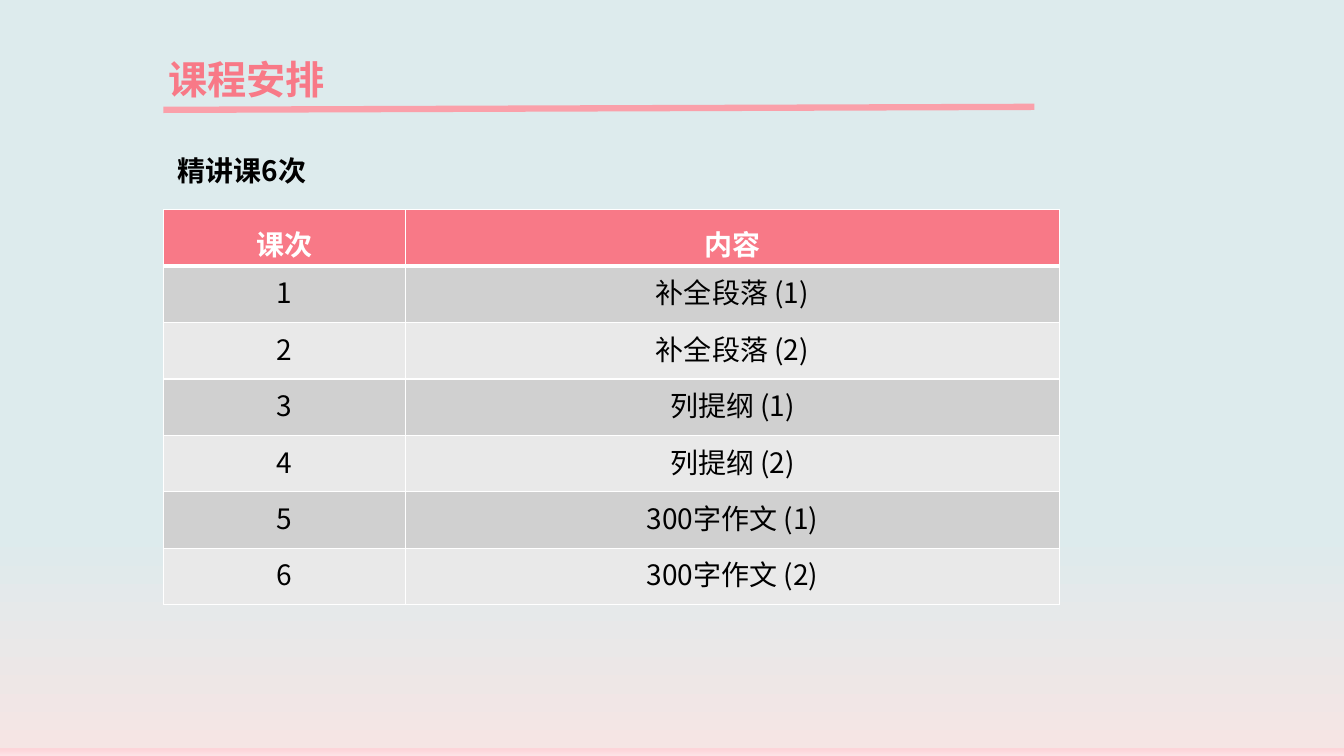
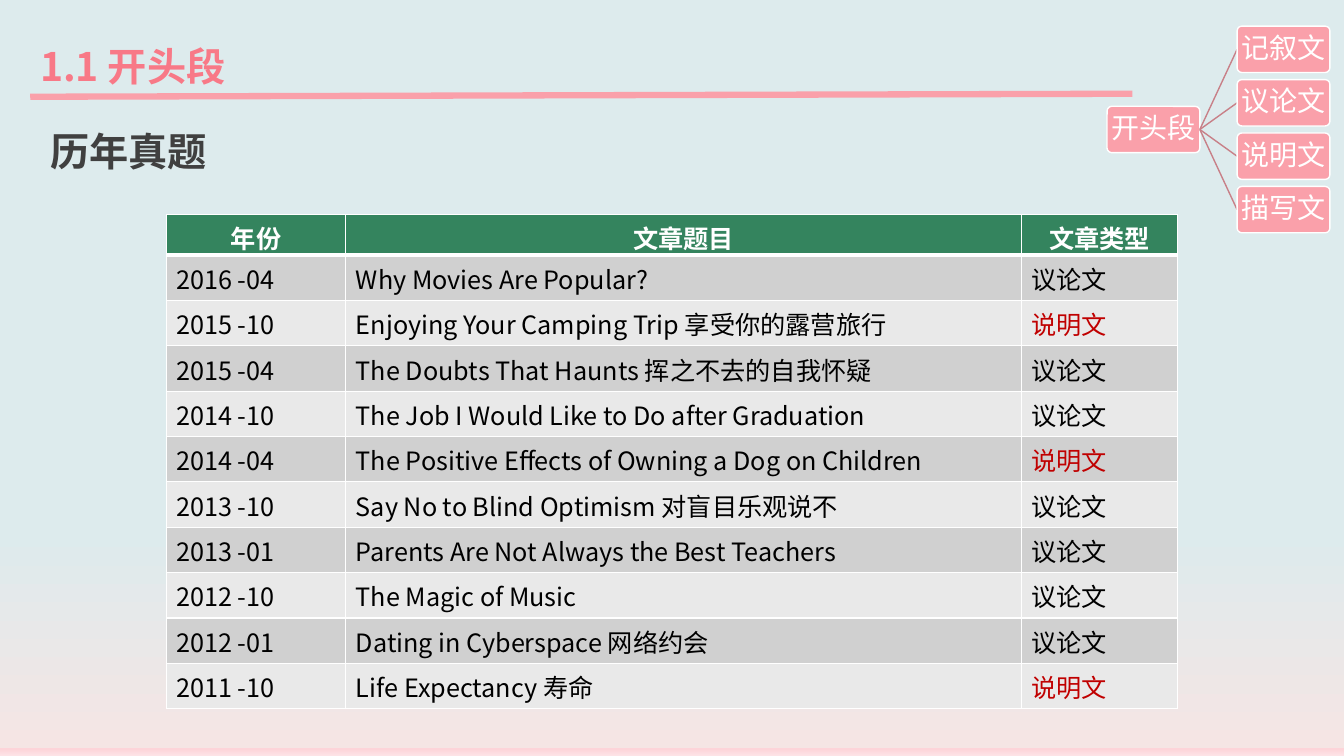
from lxml.etree import SubElement
from pptx import Presentation
from pptx.dml.color import RGBColor
from pptx.enum.shapes import MSO_CONNECTOR as CONNECTOR, MSO_SHAPE as SHAPE
from pptx.enum.text import MSO_ANCHOR as ANCHOR, PP_ALIGN as ALIGN
from pptx.oxml import parse_xml
from pptx.oxml.ns import nsdecls, qn
from pptx.util import Inches, Pt

FONT = "Noto Sans CJK SC"
DIAGRAM_FONT = "TeX Gyre Adventor"
CORAL, PINK, ROSE = "F87987", "FAA0AA", "C88088"
GREEN, RED = "34845E", "C00000"
WHITE, BLACK, CHARCOAL = "FFFFFF", "000000", "404040"
BANDS = ("D0D0D0", "E9E9E9")
BACKGROUND = ((70, "DDEBED"), (99, "F5E5E4"), (99, "FDD4D9"), (100, "FDE3E6"))

LESSONS = [
    ("课次", "内容"),
    ("1", "补全段落 (1)"),
    ("2", "补全段落 (2)"),
    ("3", "列提纲 (1)"),
    ("4", "列提纲 (2)"),
    ("5", "300字作文 (1)"),
    ("6", "300字作文 (2)"),
]
ARGUMENT, EXPOSITION = "议论文", "说明文"
PAST_PAPERS = [
    ("年份", "文章题目", "文章类型"),
    ("2016 -04", "Why Movies Are Popular?", ARGUMENT),
    ("2015 -10", "Enjoying Your Camping Trip 享受你的露营旅行", EXPOSITION),
    ("2015 -04", "The Doubts That Haunts 挥之不去的自我怀疑", ARGUMENT),
    ("2014 -10", "The Job I Would Like to Do after Graduation", ARGUMENT),
    ("2014 -04", "The Positive Effects of Owning a Dog on Children", EXPOSITION),
    ("2013 -10", "Say No to Blind Optimism 对盲目乐观说不", ARGUMENT),
    ("2013 -01", "Parents Are Not Always the Best Teachers", ARGUMENT),
    ("2012 -10", "The Magic of Music", ARGUMENT),
    ("2012 -01", "Dating in Cyberspace 网络约会", ARGUMENT),
    ("2011 -10", "Life Expectancy 寿命", EXPOSITION),
]


def rgb(value):
    return RGBColor.from_string(value)


def write(frame, text, size=20, color=BLACK, bold=False, font=FONT,
          align=ALIGN.LEFT, spacing=None, after=None):
    paragraph = frame.paragraphs[0]
    paragraph.alignment = align
    if spacing is not None:
        paragraph.line_spacing = spacing
    if after is not None:
        paragraph.space_after = Pt(after)
    run = paragraph.add_run()
    run.text = text
    run.font.name = font
    run.font.size = Pt(size)
    run.font.bold = bold
    run.font.color.rgb = rgb(color)
    SubElement(run.font._element, qn("a:ea"), typeface=FONT)


def add_text(slide, text, left, top, width, height, **style):
    box = slide.shapes.add_textbox(*map(Inches, (left, top, width, height)))
    box.text_frame.word_wrap = True
    write(box.text_frame, text, **style)


def add_line(slide, start, end, color, width):
    line = slide.shapes.add_connector(
        CONNECTOR.STRAIGHT, *map(Inches, (*start, *end)))
    line.line.color.rgb = rgb(color)
    line.line.width = Pt(width)
    SubElement(line._element.spPr, qn("a:effectLst"))


def add_slide(presentation):
    slide = presentation.slides.add_slide(presentation.slide_layouts[6])
    stops = "".join(
        f'<a:gs pos="{position * 1000}"><a:srgbClr val="{color}"/></a:gs>'
        for position, color in BACKGROUND)
    slide.element.cSld.insert(0, parse_xml(
        f'<p:bg {nsdecls("p", "a")}><p:bgPr><a:gradFill rotWithShape="1">'
        f'<a:gsLst>{stops}</a:gsLst><a:lin ang="5400000" scaled="0"/>'
        '</a:gradFill><a:effectLst/></p:bgPr></p:bg>'))
    return slide


def add_title(slide, text, left, top, rule_left, rule_right):
    rule_top = top + 0.59
    add_line(slide, (rule_left, rule_top), (rule_right, rule_top - 0.03), PINK, 4.5)
    add_text(slide, text, left, top, 8.36, 0.57, size=28, color=CORAL, bold=True)


def set_borders(cell, top, bottom):
    properties = cell._tc.get_or_add_tcPr()
    sides = (("lnL", 1), ("lnR", 1), ("lnT", top), ("lnB", bottom))
    for index, (side, width) in enumerate(sides):
        properties.insert(index, parse_xml(
            f'<a:{side} {nsdecls("a")} w="{Pt(width)}"><a:solidFill>'
            f'<a:srgbClr val="{WHITE}"/></a:solidFill></a:{side}>'))


def add_grid(slide, rows, left, top, widths, row_height, header_height,
             header_fill, size, align=ALIGN.LEFT, header_spacing=None):
    heights = [header_height] + [row_height] * (len(rows) - 1)
    table = slide.shapes.add_table(
        len(rows), len(widths), *map(Inches, (left, top, sum(widths), sum(heights)))
    ).table
    for column, width in zip(table.columns, widths):
        column.width = Inches(width)
    for index, (values, height) in enumerate(zip(rows, heights)):
        table.rows[index].height = Inches(height)
        header = index == 0
        fill = header_fill if header else BANDS[(index - 1) % 2]
        for cell, value in zip(table.rows[index].cells, values):
            cell.fill.solid()
            cell.fill.fore_color.rgb = rgb(fill)
            set_borders(cell, top=3 if index == 1 else 1, bottom=3 if header else 1)
            if header:
                write(cell.text_frame, value, size=size, color=WHITE, bold=True,
                      align=ALIGN.CENTER, spacing=header_spacing)
            else:
                write(cell.text_frame, value, size=size, align=align,
                      color=RED if value == EXPOSITION else BLACK)


def add_node(slide, text, left, top, width, height):
    node = slide.shapes.add_shape(
        SHAPE.ROUNDED_RECTANGLE, *map(Inches, (left, top, width, height)))
    node.adjustments[0] = 0.1
    node.shadow.inherit = False
    node.fill.solid()
    node.fill.fore_color.rgb = rgb(PINK)
    node.line.color.rgb = rgb(WHITE)
    node.line.width = Pt(1)
    frame = node.text_frame
    frame.word_wrap = True
    frame.vertical_anchor = ANCHOR.MIDDLE
    frame.margin_left = frame.margin_right = Inches(0.01)
    frame.margin_top = frame.margin_bottom = Inches(0.01)
    write(frame, text, color=WHITE, font=DIAGRAM_FONT, align=ALIGN.CENTER,
          spacing=0.9, after=7)


def add_tree(slide, root, children, left, top):
    width, height, pitch, indent = 0.92, 0.46, 0.53, 1.29
    root_top = top + pitch * (len(children) - 1) / 2
    root_end = (left + width, root_top + height / 2)
    add_node(slide, root, left, root_top, width, height)
    for index, child in enumerate(children):
        child_left, child_top = left + indent, top + index * pitch
        add_line(slide, root_end, (child_left, child_top + height / 2), ROSE, 1)
        add_node(slide, child, child_left, child_top, width, height)


def add_schedule_slide(presentation):
    slide = add_slide(presentation)
    add_title(slide, "课程安排", 1.57, 0.5, 1.62, 10.26)
    add_text(slide, "精讲课6次", 1.66, 1.31, 8.08, 0.55, bold=True, spacing=1.5)
    add_grid(slide, LESSONS, 1.62, 2.08, (2.4, 6.49), 0.56, 0.56, CORAL,
             size=20, align=ALIGN.CENTER, header_spacing=1.2)


def add_past_papers_slide(presentation):
    slide = add_slide(presentation)
    add_title(slide, "1.1 开头段", 0.3, 0.37, 0.3, 11.23)
    add_text(slide, "历年真题", 0.4, 1.21, 5.2, 0.57,
             size=28, color=CHARCOAL, bold=True)
    add_grid(slide, PAST_PAPERS, 1.65, 2.13, (1.78, 6.7, 1.55), 0.45, 0.4,
             GREEN, size=18)
    add_tree(slide, "开头段", ("记叙文", ARGUMENT, EXPOSITION, "描写文"), 10.98, 0.26)


def main():
    presentation = Presentation()
    presentation.slide_width = Inches(13.33)
    presentation.slide_height = Inches(7.5)
    add_schedule_slide(presentation)
    add_past_papers_slide(presentation)
    presentation.save("out.pptx")


if __name__ == "__main__":
    main()
